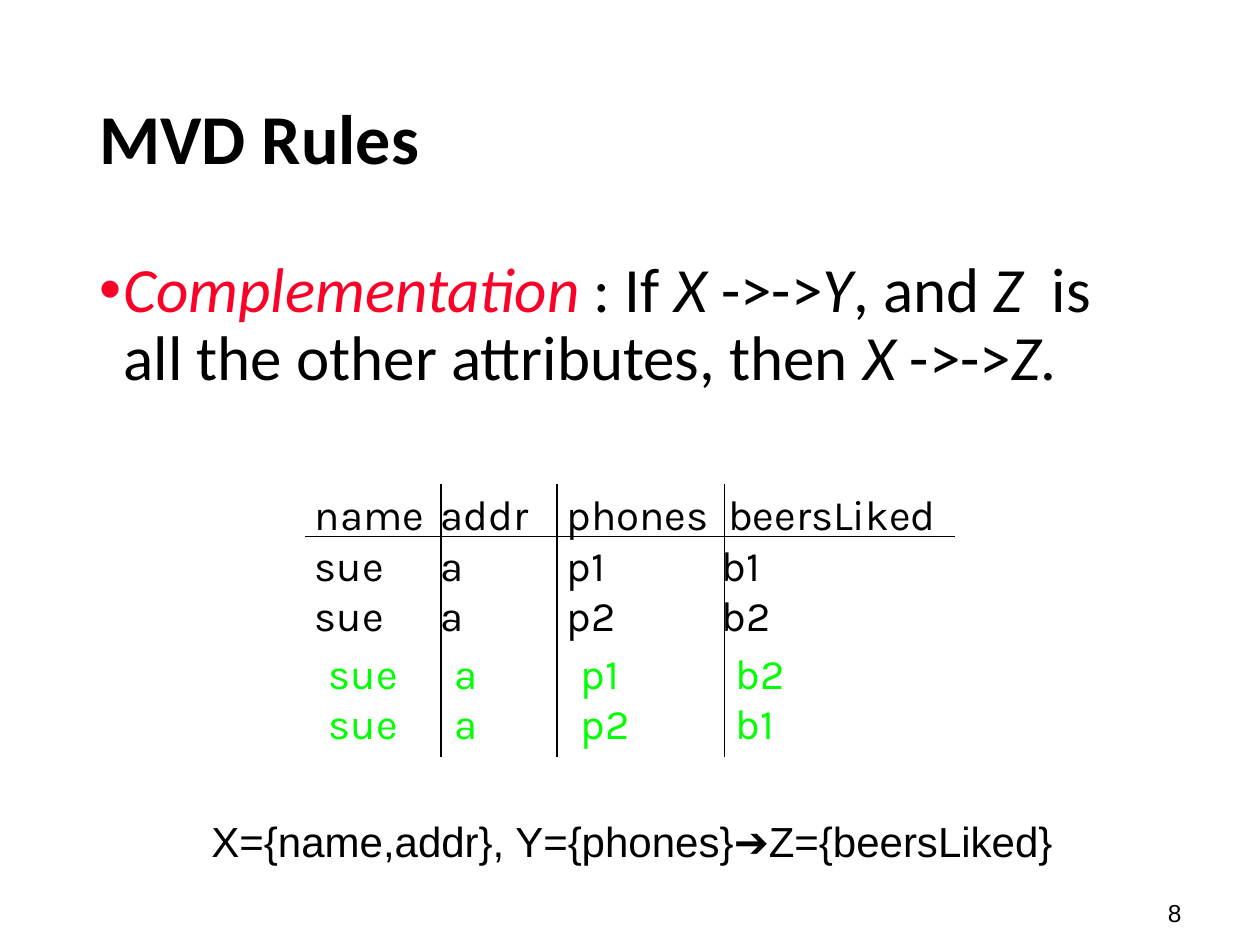
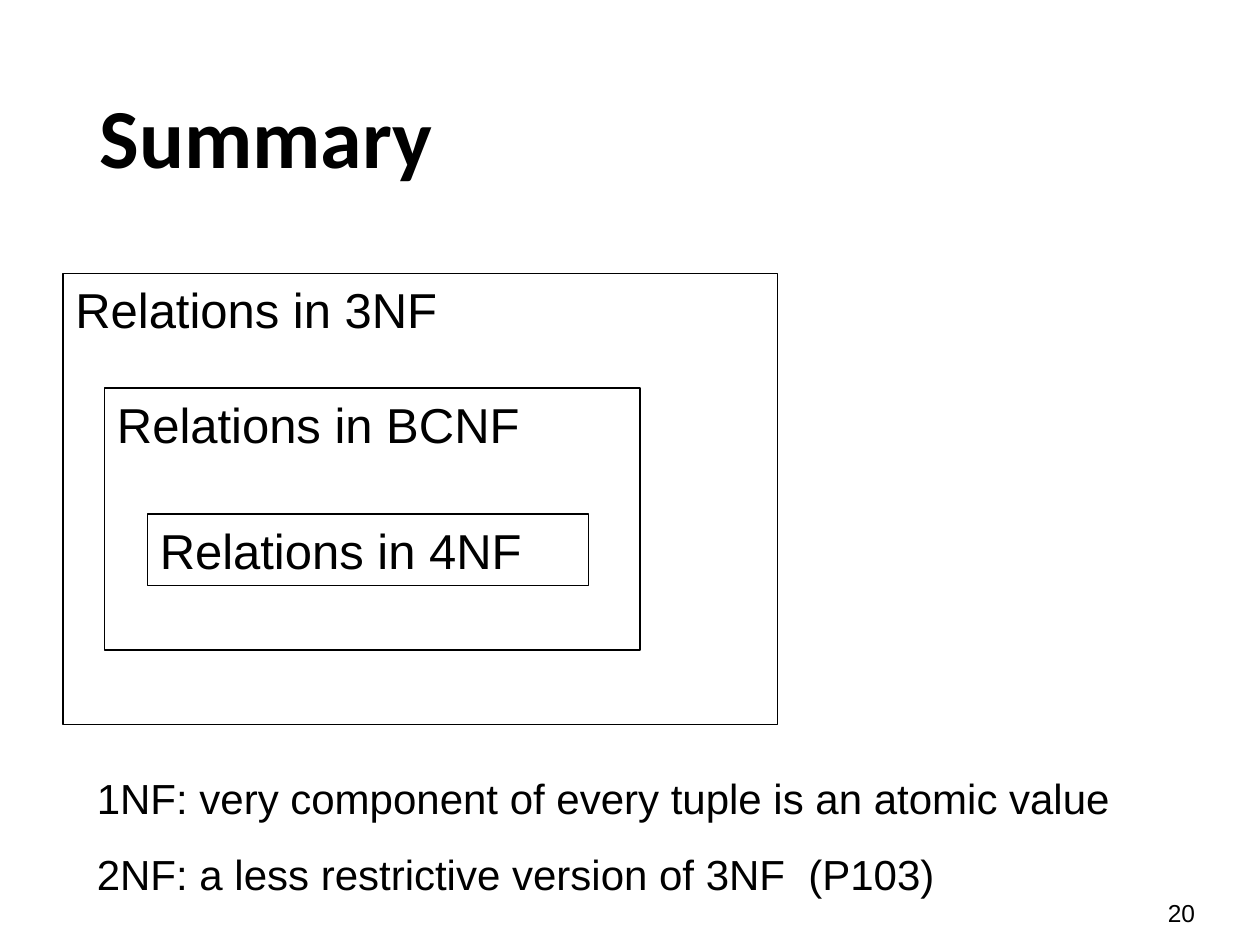
import pptx
import pptx.util
import pptx.dml.color
import pptx.enum.shapes
import pptx.enum.text
import lxml.etree
from pptx.util import Inches, Pt

COLORS = {"ink": "000000", "accent": "FC0128", "derived": "00FF00"}
A = "{http://schemas.openxmlformats.org/drawingml/2006/main}"


def style_text(frame, size, font="Arial", color="ink", bold=False, space_before=0):
    frame.auto_size = pptx.enum.text.MSO_AUTO_SIZE.NONE
    frame.word_wrap = True
    for paragraph in frame.paragraphs:
        paragraph.alignment = pptx.enum.text.PP_ALIGN.LEFT
        paragraph.space_before = Pt(space_before)
        paragraph.font.size = Pt(size)
        paragraph.font.name = font
        paragraph.font.bold = bold
        paragraph.font.color.rgb = pptx.dml.color.RGBColor.from_string(COLORS[color])


def add_text(slide, text, box, size, font="Arial", color="ink", space_before=0, tab_rows=()):
    frame = slide.shapes.add_textbox(*map(Inches, box)).text_frame
    frame.text = text
    for paragraph, tabs in zip(frame.paragraphs, tab_rows):
        tab_list = lxml.etree.SubElement(paragraph._p.get_or_add_pPr(), A + "tabLst")
        for tab in tabs:
            lxml.etree.SubElement(tab_list, A + "tab", pos=str(Inches(tab)), algn="l")
    style_text(frame, size, font, color, space_before=space_before)


prs = pptx.Presentation()
prs.slide_width, prs.slide_height = Inches(10), Inches(7.5)

slides = []
for layout, heading, heading_size, number in [
    (1, "MVD Rules", 40, "8"),
    (5, "Summary", 48, "20"),
]:
    slide = prs.slides.add_slide(prs.slide_layouts[layout])
    title = slide.shapes.title
    title.left, title.top, title.width, title.height = map(Inches, (0.69, 0.4, 8.63, 1.45))
    title.text_frame.text = heading
    title.text_frame.vertical_anchor = pptx.enum.text.MSO_ANCHOR.MIDDLE
    style_text(title.text_frame, heading_size, "Calibri", bold=True)
    title.text_frame.paragraphs[0].line_spacing = 0.9
    add_text(slide, number, (9.17, 7.08, 0.58, 0.34), 14)
    slides.append(slide)
rules, summary = slides

rule = rules.placeholders[1]
rule.left, rule.top, rule.width, rule.height = map(Inches, (0.69, 2, 8.63, 4.76))
definition = rule.text_frame.paragraphs[0]
for text, italic in [
    ("Complementation", True), (" : If ", False), ("X", True), (" ->->", False),
    ("Y", True), (", and ", False), ("Z", True),
    ("  is all the other attributes, then ", False),
    ("X", True), (" ->->", False), ("Z", True), (".", False),
]:
    run = definition.add_run()
    run.text = text
    run.font.italic = italic
bullet = definition._p.get_or_add_pPr()
bullet.set("marL", str(Inches(0.19)))
bullet.set("indent", str(Inches(-0.19)))
bullet_color = lxml.etree.SubElement(bullet, A + "buClr")
lxml.etree.SubElement(bullet_color, A + "srgbClr", val=COLORS["accent"])
lxml.etree.SubElement(bullet, A + "buFont", typeface="Arial")
lxml.etree.SubElement(bullet, A + "buChar", char="•")
style_text(rule.text_frame, 36, "Calibri", space_before=7.5)
definition.line_spacing = 0.9
definition.runs[0].font.color.rgb = pptx.dml.color.RGBColor.from_string(COLORS["accent"])

header_tabs, tuple_tabs = (1, 2, 3.28), (1, 2, 3.23)
add_text(
    rules, "name\taddr\tphones\tbeersLiked\nsue\ta\tp1\tb1\nsue\ta\tp2\tb2",
    (2.4, 3.83, 5.25, 1.3), 24, "Karla",
    tab_rows=(header_tabs, tuple_tabs, tuple_tabs),
)
add_text(
    rules, "sue\ta\tp1\tb2\nsue\ta\tp2\tb1",
    (2.51, 5.09, 3.85, 0.9), 24, "Karla", "derived",
    tab_rows=(tuple_tabs, tuple_tabs),
)

column_rules = [(x, 3.84, x, 6.01) for x in (3.5, 4.42, 5.75)]
for ends in [(2.42, 4.26, 7.58, 4.26), *column_rules]:
    divider = rules.shapes.add_connector(
        pptx.enum.shapes.MSO_CONNECTOR.STRAIGHT, *map(Inches, ends))
    divider.line.color.rgb = pptx.dml.color.RGBColor.from_string(COLORS["ink"])
    divider.line.width = Pt(0.75)
    lxml.etree.SubElement(divider._element.spPr, A + "effectLst")

add_text(rules, "X={name,addr}, Y={phones}➔Z={beersLiked}", (1.58, 6.42, 7.67, 0.5), 24)

for normal_form, box in [
    ("4NF", (1.17, 4.08, 3.5, 0.57)),
    ("BCNF", (0.83, 3.08, 4.25, 2.08)),
    ("3NF", (0.5, 2.17, 5.67, 3.58)),
]:
    relations = summary.shapes.add_shape(
        pptx.enum.shapes.MSO_SHAPE.RECTANGLE, *map(Inches, box))
    relations.shadow.inherit = False
    relations.fill.background()
    relations.line.color.rgb = pptx.dml.color.RGBColor.from_string(COLORS["ink"])
    relations.line.width = Pt(0.75)
    relations.text_frame.text = f"Relations in {normal_form}"
    relations.text_frame.vertical_anchor = pptx.enum.text.MSO_ANCHOR.TOP
    style_text(relations.text_frame, 28)

add_text(
    summary,
    "1NF: very component of every tuple is an atomic value\n"
    "2NF: a less restrictive version of 3NF  (P103)",
    (0.67, 6.08, 8.92, 1.11), 24, space_before=15,
)

prs.save("out.pptx")
